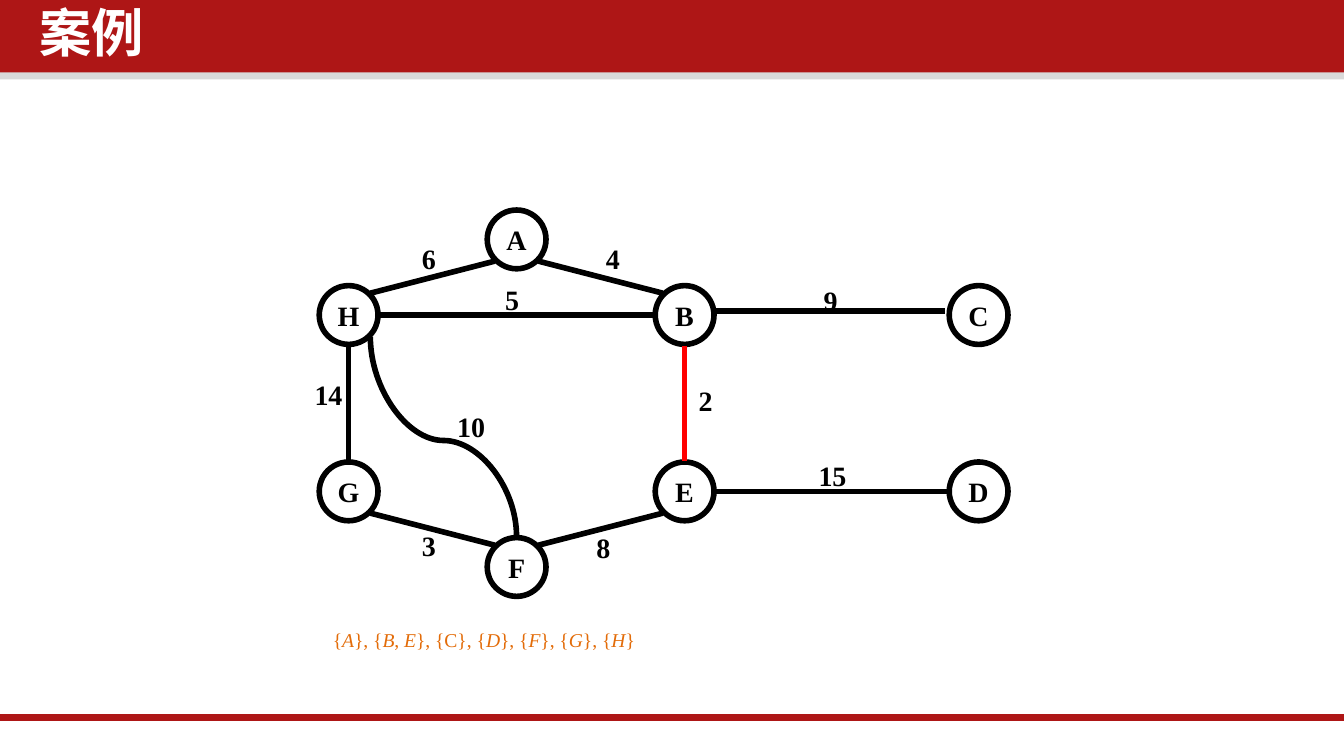
"""Draw a weighted graph and its first merged set."""
import dataclasses
import math

import lxml.etree
import pptx
import pptx.dml.color
import pptx.enum.shapes
import pptx.enum.text
import pptx.oxml.ns
import pptx.util

Pt = pptx.util.Pt
qn = pptx.oxml.ns.qn
LINKS = pptx.enum.shapes.MSO_CONNECTOR
FORMS = pptx.enum.shapes.MSO_SHAPE
ALIGN = pptx.enum.text.PP_ALIGN
ANCHOR = pptx.enum.text.MSO_ANCHOR
FIT = pptx.enum.text.MSO_AUTO_SIZE


@dataclasses.dataclass(frozen=True)
class Theme:
    """Colours, fonts and sizes of the slide."""
    red: str = "AE1616"
    grey: str = "D9D9D9"
    black: str = "000000"
    white: str = "FFFFFF"
    hot: str = "FF0000"
    orange: str = "E36C09"
    serif: str = "Times New Roman"
    sans: str = "Noto Sans CJK SC"
    head: float = 28
    label: float = 15
    note: float = 10.5
    stroke: float = 3


def tint(code):
    """Turn a hex code into a colour."""
    return pptx.dml.color.RGBColor.from_string(code)


def write(shape, text, *, font, size, color, bold=False, align=ALIGN.LEFT,
          anchor=ANCHOR.TOP, wrap=False, fit=FIT.NONE, pad=(7.2, 3.6),
          space=None, before=None):
    """Fill a shape with text, where stars enclose italic parts."""
    frame = shape.text_frame
    frame.word_wrap = wrap
    frame.auto_size = fit
    frame.vertical_anchor = anchor
    frame.margin_left = frame.margin_right = Pt(pad[0])
    frame.margin_top = frame.margin_bottom = Pt(pad[1])
    para = frame.paragraphs[0]
    para.alignment = align
    para.line_spacing = space
    para.space_before = None if before is None else Pt(before)
    for place, part in enumerate(text.split("*")):
        run = para.add_run()
        run.text = part
        run.font.name = font
        run.font.size = Pt(size)
        run.font.bold = bold
        run.font.italic = place % 2 == 1
        run.font.color.rgb = tint(color)
    for latin in shape.element.iter(qn("a:latin")):
        east = lxml.etree.Element(qn("a:ea"), typeface=font)
        latin.addnext(east)


class Board:
    """Hold the theme and the current slide."""

    def __init__(self, slide, theme):
        """Keep the slide and its theme."""
        self.slide, self.theme = slide, theme
        self.shapes = slide.shapes

    def bar(self, top, height, color):
        """Add a band across the slide."""
        band = self.shapes.add_shape(FORMS.RECTANGLE, 0, Pt(top), Pt(720), Pt(height))
        band.shadow.inherit = False
        band.fill.solid()
        band.fill.fore_color.rgb = tint(color)
        band.line.fill.background()

    def title(self, text):
        """Place the title above the bands."""
        head = self.shapes.title
        head.left, head.top, head.width, head.height = map(Pt, (16.2, 1.2, 550, 42.5))
        write(head, text, font=self.theme.sans, size=self.theme.head,
              color=self.theme.white, bold=True, wrap=True, pad=(5, 2.9),
              space=0.9, before=7.5)
        head.element.getparent().append(head.element)

    def node(self, name, x, y, size=31.5):
        """Add a named ring around a centre."""
        ring = self.shapes.add_shape(FORMS.OVAL, Pt(x - size / 2), Pt(y - size / 2),
                                     Pt(size), Pt(size))
        ring.shadow.inherit = False
        ring.fill.background()
        ring.line.color.rgb = tint(self.theme.black)
        ring.line.width = Pt(self.theme.stroke)
        write(ring, name, font=self.theme.serif, size=self.theme.label,
              color=self.theme.black, bold=True, align=ALIGN.CENTER,
              anchor=ANCHOR.MIDDLE)

    def link(self, start, end, color=None, width=None, kind=LINKS.STRAIGHT):
        """Join two points with a line."""
        line = self.shapes.add_connector(kind, *map(Pt, (*start, *end)))
        line.line.color.rgb = tint(color or self.theme.black)
        line.line.width = Pt(width or self.theme.stroke)
        lxml.etree.SubElement(line.element.spPr, qn("a:effectLst"))
        return line

    def curve(self, start, end, bend):
        """Join two points with an upright bend, lower right to upper left."""
        (x1, y1), (x2, y2) = start, end
        mid_x, mid_y = (x1 + x2) / 2, (y1 + y2) / 2
        half_w, half_h = (y1 - y2) / 2, (x1 - x2) / 2
        line = self.link((mid_x + half_w, mid_y - half_h),
                         (mid_x - half_w, mid_y + half_h), kind=LINKS.CURVE)
        line.element.spPr.find(qn("a:xfrm")).set("rot", "5400000")
        guides = line.element.spPr.find(qn("a:prstGeom")).find(qn("a:avLst"))
        lxml.etree.SubElement(guides, qn("a:gd"), name="adj1",
                              fmla=f"val {round(bend * 100000)}")

    def label(self, text, x, y):
        """Centre a weight on a point."""
        wide, high = 16 + 7.5 * len(text), 25
        box = self.shapes.add_textbox(Pt(x - wide / 2), Pt(y - high / 2), Pt(wide), Pt(high))
        write(box, text, font=self.theme.serif, size=self.theme.label,
              color=self.theme.black, bold=True, align=ALIGN.CENTER,
              fit=FIT.SHAPE_TO_FIT_TEXT)

    def note(self, text, left, top, width, height):
        """Add a line of sets."""
        box = self.shapes.add_textbox(*map(Pt, (left, top, width, height)))
        write(box, text, font=self.theme.serif, size=self.theme.note,
              color=self.theme.orange, fit=FIT.SHAPE_TO_FIT_TEXT)


NODES = {"H": (186.75, 168.75), "B": (366.75, 168.75), "C": (524.25, 168.75),
         "G": (186.75, 263.25), "E": (366.75, 263.25), "D": (524.25, 263.25),
         "F": (276.75, 303.75), "A": (276.75, 128.25)}
EDGES = [("A", 45, "B", 225, "4", 328.3, 138.6),
         ("A", 135, "H", 315, "6", 229.7, 138.6),
         ("H", 0, "B", 180, "5", 274.3, 160.2),
         ("G", 270, "H", 90, "14", 176, 211.3),
         ("G", 45, "F", 225, "3", 229.7, 292),
         ("F", 315, "E", 135, "8", 323.3, 293.4),
         ("E", 270, "B", 90, "2", 378, 214.2),
         ("B", 0, "C", 180, "9", 445, 160.9),
         ("E", 0, "D", 180, "15", 446, 254.5)]
SHIFT = {("B", "C"): (-1.25, -2.25)}


def port(name, angle, shift=(0, 0), reach=16.5):
    """Find the point just off a ring at a clockwise angle."""
    x, y = NODES[name]
    turn = math.radians(angle)
    return x + reach * math.cos(turn) + shift[0], y + reach * math.sin(turn) + shift[1]


def main():
    """Build and save the slide."""
    deck = pptx.Presentation()
    deck.slide_width, deck.slide_height = Pt(720), Pt(405)
    theme = Theme()
    board = Board(deck.slides.add_slide(deck.slide_layouts[5]), theme)
    board.bar(36, 6.5, theme.grey)
    board.bar(0, 38.75, theme.red)
    board.link((0, 384.5), (720, 384.5), theme.red, 4)
    for name, (x, y) in NODES.items():
        board.node(name, x, y)
    for start, out, end, back, weight, x, y in EDGES:
        shift = SHIFT.get((start, end), (0, 0))
        color = theme.hot if {start, end} == {"B", "E"} else theme.black
        board.link(port(start, out, shift), port(end, back, shift), color)
        board.label(weight, x, y)
    board.curve(port("F", 270), port("H", 45), 0.48)
    board.label("10", 252.4, 228.6)
    board.note("{*A*}, {*B*, *E*}, {C}, {*D*}, {*F*}, {*G*}, {*H*}", 171.2, 333, 178, 20)
    board.title("案例")
    deck.save("out.pptx")


if __name__ == "__main__":
    main()
